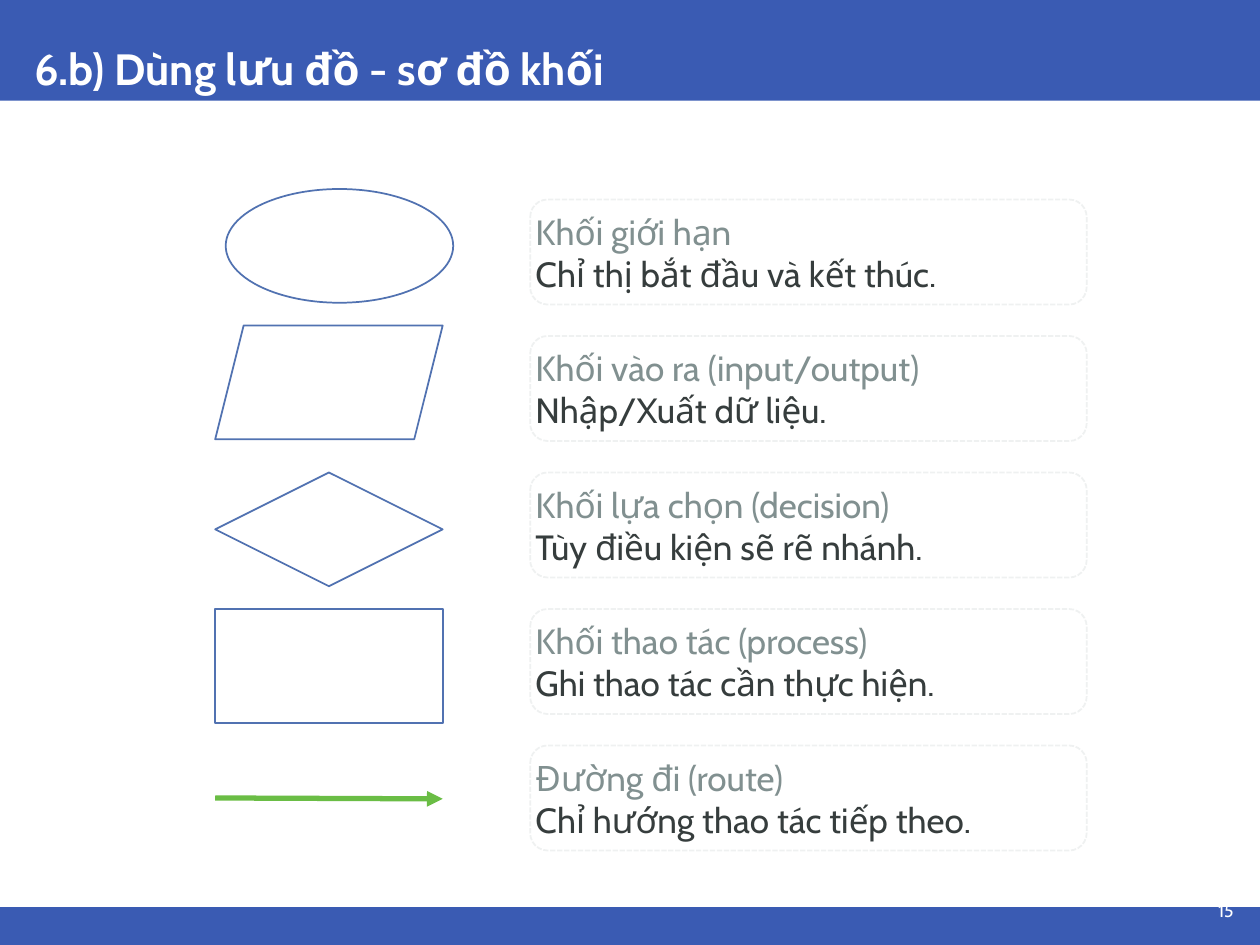
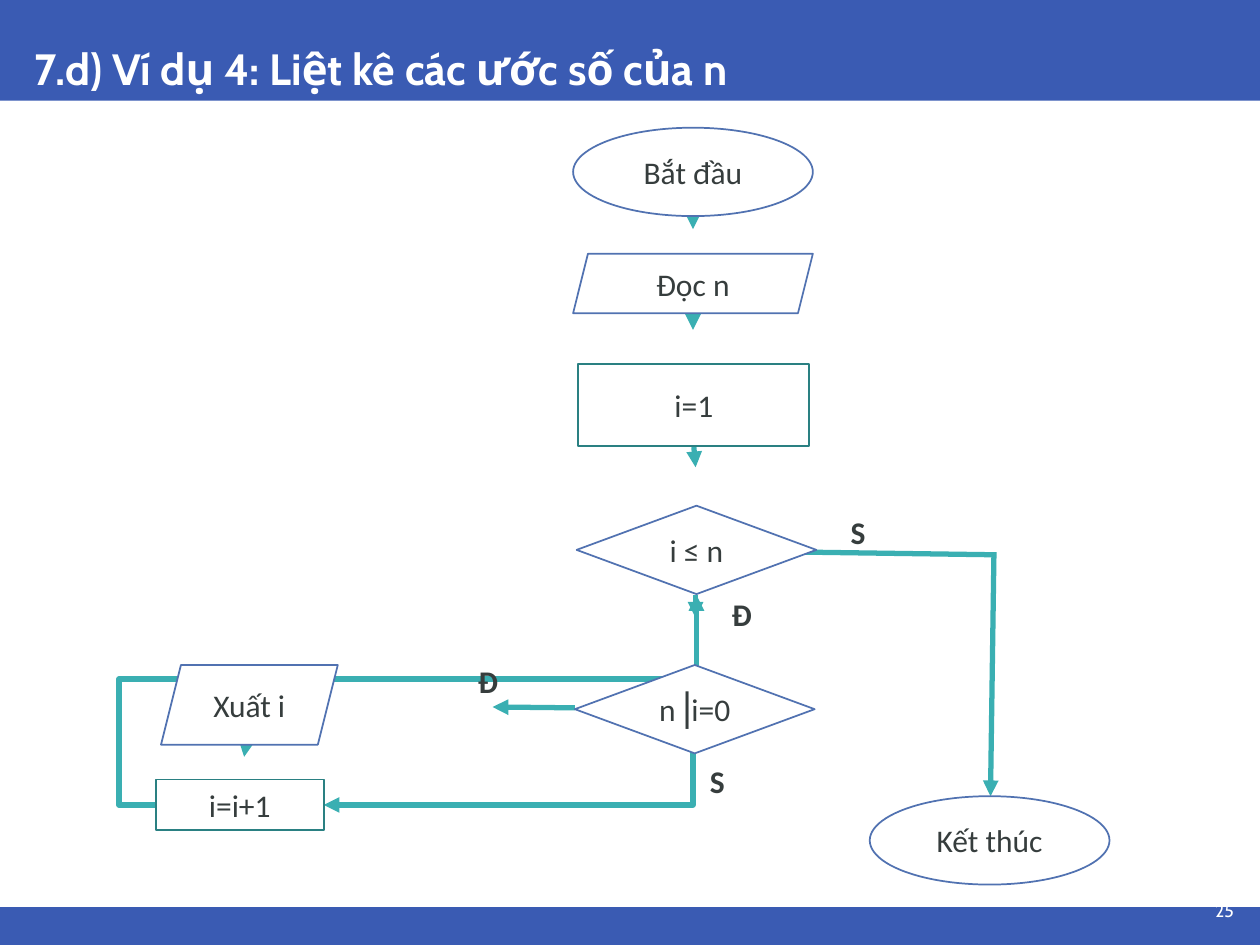
from dataclasses import dataclass

from lxml.etree import SubElement
from pptx import Presentation
from pptx.dml.color import RGBColor
from pptx.enum.dml import MSO_LINE_DASH_STYLE as Dash
from pptx.enum.shapes import MSO_CONNECTOR as Connector, MSO_SHAPE as Shape
from pptx.enum.text import MSO_ANCHOR as Anchor, MSO_AUTO_SIZE as AutoSize, PP_ALIGN as Align
from pptx.oxml.ns import qn
from pptx.util import Pt


@dataclass(frozen=True)
class Theme:
    band: str = "3A5BB3"
    white: str = "FFFFFF"
    outline: str = "5172B1"
    process: str = "2A8082"
    flow: str = "3AAFB2"
    route: str = "6ABD45"
    card: str = "EFF1F1"
    muted: str = "819090"
    ink: str = "363D3D"
    heading_font: str = "Cabin"
    flow_font: str = "Calibri"
    symbol_font: str = "Arial"
    title_size: float = 25
    card_size: float = 20
    flow_size: float = 18
    number_size: float = 10


THEME = Theme()
PAGE_WIDTH, PAGE_HEIGHT = 720, 540
TITLE_HEIGHT, FOOTER_HEIGHT = 57.6, 21.6


def rgb(color):
    return RGBColor.from_string(color)


def place(box, left, top, width, height):
    box.left, box.top, box.width, box.height = map(Pt, (left, top, width, height))


def set_frame(frame, inset=0, anchor=Anchor.MIDDLE, wrap=True):
    frame.margin_left = frame.margin_right = Pt(inset)
    frame.margin_top = frame.margin_bottom = Pt(inset)
    frame.vertical_anchor = anchor
    frame.word_wrap = wrap
    frame.auto_size = AutoSize.NONE


def write(frame, text, font=THEME.heading_font, size=THEME.card_size, color=THEME.ink,
          bold=False, align=Align.LEFT, spacing=None):
    para = frame.paragraphs[0]
    if para.runs:
        para = frame.add_paragraph()
    para.alignment = align
    para.line_spacing = spacing
    spans = [(text, font)] if isinstance(text, str) else text
    for words, span_font in spans:
        span = para.add_run()
        span.text = words
        span.font.name = span_font
        span.font.size = Pt(size)
        span.font.bold = bold
        span.font.color.rgb = rgb(color)


def add_text(page, bounds, text, inset=0, anchor=Anchor.MIDDLE, wrap=True, **style):
    box = page.shapes.add_textbox(*map(Pt, bounds))
    set_frame(box.text_frame, inset, anchor, wrap)
    write(box.text_frame, text, **style)
    return box


def add_block(page, kind, bounds, fill=THEME.white, line=THEME.outline, dash=None):
    block = page.shapes.add_shape(kind, *map(Pt, bounds))
    block.shadow.inherit = False
    if fill:
        block.fill.solid()
        block.fill.fore_color.rgb = rgb(fill)
    else:
        block.fill.background()
    if line:
        block.line.color.rgb = rgb(line)
        block.line.width = Pt(1)
        block.line.dash_style = dash
    else:
        block.line.fill.background()
    return block


def add_flow_block(page, kind, bounds, text, **paint):
    block = add_block(page, kind, bounds, **paint)
    set_frame(block.text_frame)
    write(block.text_frame, text, font=THEME.flow_font, size=THEME.flow_size,
          align=Align.CENTER)


def add_branch_label(page, left, top, text):
    add_text(page, (left, top, 36, 28), text, inset=3.6, anchor=Anchor.TOP,
             font=THEME.flow_font, size=THEME.flow_size, bold=True)


def style_line(line, color, arrow):
    line.color.rgb = rgb(color)
    line.width = Pt(3)
    if arrow:
        SubElement(line._get_or_add_ln(), qn("a:tailEnd"), type="triangle")


def add_line(page, start, end, color=THEME.flow, arrow=True):
    link = page.shapes.add_connector(Connector.STRAIGHT, *map(Pt, (*start, *end)))
    style_line(link.line, color, arrow)
    SubElement(link._element.spPr, qn("a:effectLst"))


def add_bent_arrow(page, start, *corners):
    builder = page.shapes.build_freeform(*start, scale=Pt(1))
    builder.add_line_segments(corners, close=False)
    bend = builder.convert_to_shape()
    bend.shadow.inherit = False
    bend.fill.background()
    style_line(bend.line, THEME.flow, True)


def add_bands(layout, page):
    for top, height in ((0, TITLE_HEIGHT), (PAGE_HEIGHT - FOOTER_HEIGHT, FOOTER_HEIGHT)):
        band = add_block(page, Shape.RECTANGLE, (0, top, PAGE_WIDTH, height),
                         fill=THEME.band, line=None)
        layout.shapes._spTree.insert(2, band._element)


def add_page(deck, title, number):
    page = deck.slides.add_slide(deck.slide_layouts[5])
    heading = page.shapes.title
    place(heading, 16, 0, 689, TITLE_HEIGHT)
    set_frame(heading.text_frame, inset=3.6, anchor=Anchor.BOTTOM)
    write(heading.text_frame, title, size=THEME.title_size, color=THEME.white,
          bold=True, spacing=0.9)
    add_text(page, (666.5, 510.5, 38.5, 19.5), number, size=THEME.number_size,
             color=THEME.white, align=Align.RIGHT)
    return page


def add_symbol_legend(page):
    symbols = (
        (Shape.OVAL, 129, 108),
        (Shape.PARALLELOGRAM, 123, 186),
        (Shape.DIAMOND, 123, 270),
        (Shape.RECTANGLE, 123, 348),
    )
    for kind, left, top in symbols:
        add_block(page, kind, (left, top, 130, 65))
    cards = (
        ("Khối giới hạn", "Chỉ thị bắt đầu và kết thúc."),
        ("Khối vào ra (input/output)", "Nhập/Xuất dữ liệu."),
        ("Khối lựa chọn (decision)", "Tùy điều kiện sẽ rẽ nhánh."),
        ("Khối thao tác (process)", "Ghi thao tác cần thực hiện."),
        ("Đường đi (route)", "Chỉ hướng thao tác tiếp theo."),
    )
    for row, (name, meaning) in enumerate(cards):
        top = 114 + 78 * row
        add_block(page, Shape.ROUNDED_RECTANGLE, (303, top, 318, 60),
                  line=THEME.card, dash=Dash.SQUARE_DOT)
        box = add_text(page, (306, top + 6, 260, 48), name, wrap=False, color=THEME.muted)
        write(box.text_frame, meaning)
    add_line(page, (123, 456), (253, 456.5), color=THEME.route)


def add_divisor_flowchart(page):
    arrows = (
        ((396, 124), (396, 131)),
        ((396, 179), (396, 188.5)),
        ((396.5, 255.5), (397.5, 267)),
        ((397.5, 340), (397.5, 353)),
        ((568, 315.5), (566, 455)),
        ((140.5, 426), (139.5, 432.5)),
        ((328.5, 404.5), (281.5, 404)),
    )
    for start, end in arrows:
        add_line(page, start, end)
    add_line(page, (459.5, 315.5), (567.5, 317), arrow=False)
    add_bent_arrow(page, (89, 460), (68.5, 460), (68.5, 387.5), (398, 387.5), (398, 340))
    add_bent_arrow(page, (396.5, 430.5), (396.5, 460), (185, 460))

    wide, tall = 137, 50.5
    add_flow_block(page, Shape.OVAL, (327.5, 73, wide, tall), "Bắt đầu")
    add_flow_block(page, Shape.PARALLELOGRAM, (327.5, 145, wide, 34), "Đọc n")
    add_flow_block(page, Shape.DIAMOND, (329.5, 289, wide, tall), "i ≤ n")
    add_flow_block(page, Shape.OVAL, (497, 455, wide, tall), "Kết thúc")
    add_flow_block(page, Shape.PARALLELOGRAM, (92, 380, 101, 45.5), "Xuất i")
    divides = [("n", THEME.flow_font), ("⎟", THEME.symbol_font), ("i=0", THEME.flow_font)]
    add_flow_block(page, Shape.DIAMOND, (328.5, 380, wide, tall), divides)
    steps = (("i=1", (330.5, 208, 132, 47)), ("i=i+1", (89, 445.5, 96, 29)))
    for text, bounds in steps:
        add_flow_block(page, Shape.RECTANGLE, bounds, text, fill=None, line=THEME.process)

    labels = ((482.5, 289.5, "S"), (414.5, 336.5, "Đ"), (269.5, 375, "Đ"), (402, 432, "S"))
    for left, top, text in labels:
        add_branch_label(page, left, top, text)


def main():
    deck = Presentation()
    deck.slide_width, deck.slide_height = Pt(PAGE_WIDTH), Pt(PAGE_HEIGHT)
    legend = add_page(deck, "6.b) Dùng lưu đồ - sơ đồ khối", "15")
    add_bands(legend.slide_layout, legend)
    add_symbol_legend(legend)
    example = add_page(deck, "7.d) Ví dụ 4: Liệt kê các ước số của n", "25")
    add_divisor_flowchart(example)
    deck.save("out.pptx")


if __name__ == "__main__":
    main()
